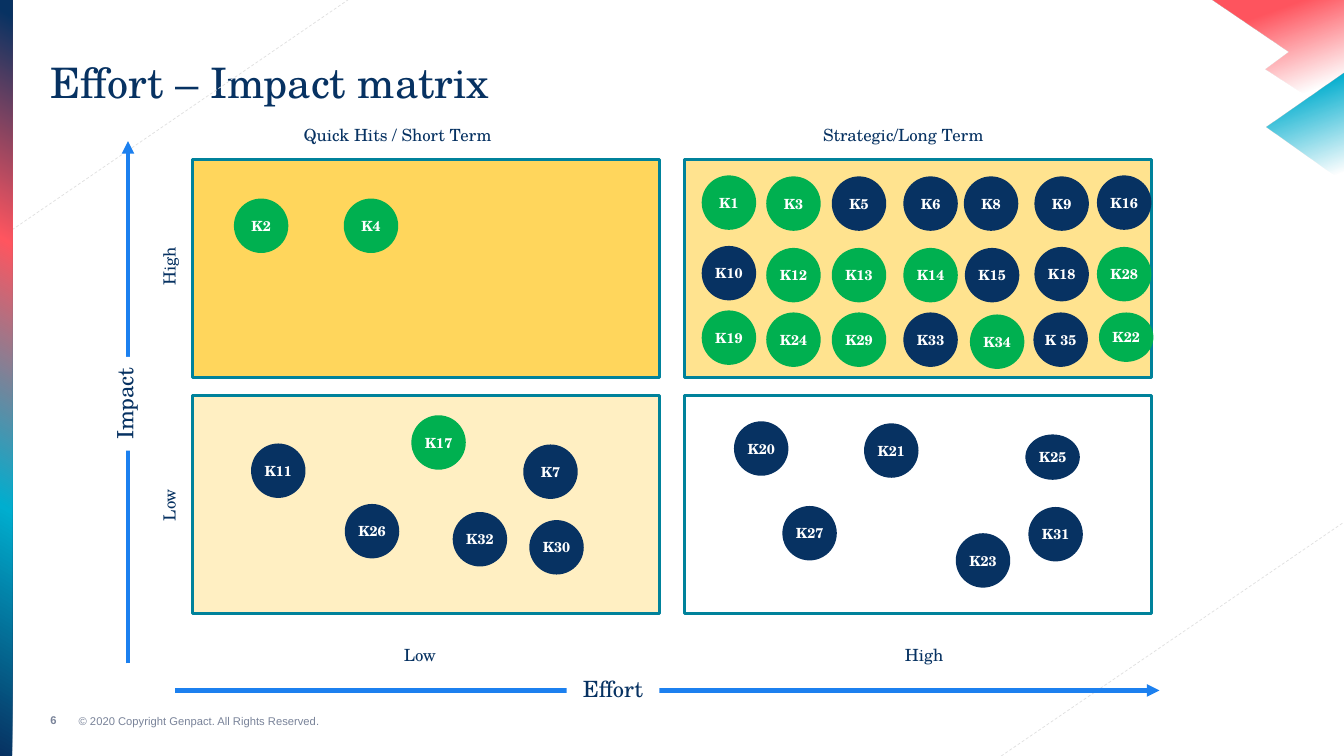
from dataclasses import dataclass
from lxml import etree
from pptx import Presentation
from pptx.dml.color import RGBColor
from pptx.enum.dml import MSO_LINE
from pptx.enum.shapes import MSO_CONNECTOR, MSO_SHAPE
from pptx.enum.text import MSO_ANCHOR, MSO_AUTO_SIZE, PP_ALIGN
from pptx.oxml.ns import qn
from pptx.util import Inches, Pt

RECT, OVAL = MSO_SHAPE.RECTANGLE, MSO_SHAPE.OVAL
STRAIGHT = MSO_CONNECTOR.STRAIGHT
DASH = MSO_LINE.DASH
LEFT, CENTER = PP_ALIGN.LEFT, PP_ALIGN.CENTER
MIDDLE = MSO_ANCHOR.MIDDLE
FIXED = MSO_AUTO_SIZE.NONE


@dataclass(frozen=True)
class Theme:
    serif: str = "TeX Gyre Schola"
    sans: str = "Arial"
    navy: str = "073262"
    green: str = "00B050"
    gold: str = "FFC000"
    teal: str = "00829B"
    cyan: str = "00AECF"
    coral: str = "FF555F"
    blue: str = "1C80EF"
    gray: str = "798399"
    pale: str = "E0E0E0"
    white: str = "FFFFFF"
    title: int = 30
    axis: int = 16
    label: int = 12
    dot: int = 10
    foot: int = 8


T = Theme()

GREEN = [
    ("K2", 2.32, 1.97), ("K4", 3.41, 1.97), ("K17", 4.08, 4.12),
    ("K1", 6.96, 1.74), ("K3", 7.6, 1.75), ("K12", 7.6, 2.46),
    ("K13", 8.25, 2.46), ("K14", 8.96, 2.46), ("K28", 10.88, 2.45),
    ("K19", 6.96, 3.08), ("K24", 7.6, 3.1), ("K29", 8.25, 3.1),
    ("K34", 9.62, 3.12), ("K22", 10.9, 3.1, 0.49),
]
NAVY = [
    ("K5", 8.25, 1.75), ("K6", 8.96, 1.75), ("K8", 9.56, 1.75),
    ("K9", 10.26, 1.75), ("K16", 10.88, 1.74), ("K10", 6.96, 2.44),
    ("K15", 9.57, 2.46), ("K18", 10.26, 2.45), ("K33", 8.96, 3.1),
    ("K 35", 10.25, 3.1), ("K11", 2.49, 4.4), ("K7", 5.19, 4.41),
    ("K26", 3.42, 5), ("K32", 4.49, 5.08), ("K30", 5.25, 5.16),
    ("K20", 7.28, 4.18), ("K21", 8.57, 4.2), ("K25", 10.17, 4.31, 0.45),
    ("K27", 7.76, 5.02), ("K23", 9.48, 5.29), ("K31", 10.2, 5.03),
]


def rgb(code):
    return RGBColor.from_string(code)


def write(shape, text, size, color=T.navy, font=T.serif, bold=False,
          align=CENTER, wrap=True):
    frame = shape.text_frame
    frame.auto_size = FIXED
    frame.word_wrap = wrap
    frame.vertical_anchor = MIDDLE
    frame.margin_left = frame.margin_right = 0
    frame.margin_top = frame.margin_bottom = 0
    para = frame.paragraphs[0]
    para.text = text
    para.alignment = align
    para.font.name = font
    para.font.size = Pt(size)
    para.font.bold = bold
    para.font.color.rgb = rgb(color)


def block(slide, kind, box, fill=None, alpha=100, edge=None):
    shape = slide.shapes.add_shape(kind, *map(Inches, box))
    shape.shadow.inherit = False
    if fill:
        shape.fill.solid()
        shape.fill.fore_color.rgb = rgb(fill)
        if alpha < 100:
            color = shape.fill._xPr.find(qn("a:solidFill"))[0]
            etree.SubElement(color, qn("a:alpha"), val=str(alpha * 1000))
    else:
        shape.fill.background()
    if edge:
        shape.line.color.rgb = rgb(edge)
        shape.line.width = Pt(2.25)
    else:
        shape.line.fill.background()
    return shape


def label(slide, text, box, size=T.label, turn=0, **look):
    shape = slide.shapes.add_textbox(*map(Inches, box))
    shape.rotation = turn
    write(shape, text, size, **look)


def blend(shape, stops, angle):
    shape.fill.gradient()
    shape.fill.gradient_angle = 360 - angle
    ramp = shape._element.spPr.find(qn("a:gradFill")).find(qn("a:gsLst"))
    for stop in list(ramp):
        ramp.remove(stop)
    for pos, code, alpha in stops:
        stop = etree.SubElement(ramp, qn("a:gs"), pos=str(pos * 1000))
        color = etree.SubElement(stop, qn("a:srgbClr"), val=code)
        etree.SubElement(color, qn("a:alpha"), val=str(alpha * 1000))


def shard(slide, points, color, end):
    start, *rest = [tuple(map(Inches, point)) for point in points]
    path = slide.shapes.build_freeform(*start)
    path.add_line_segments(rest, close=True)
    shape = path.convert_to_shape()
    shape.shadow.inherit = False
    shape.line.fill.background()
    blend(shape, [(20, color, 100), (end, color, 0)], 70)


def rule(slide, ends, color, width):
    line = slide.shapes.add_connector(STRAIGHT, *map(Inches, ends))
    line.line.color.rgb = rgb(color)
    line.line.width = Pt(width)
    etree.SubElement(line._element.spPr, qn("a:effectLst"))
    return line


def axis(slide, text, ends, box, turn=0):
    line = rule(slide, ends, T.blue, 3)
    etree.SubElement(line.line._get_or_add_ln(), qn("a:tailEnd"),
                     type="triangle")
    tag = block(slide, RECT, box, T.white)
    tag.rotation = turn
    write(tag, text, T.axis)


def decor(slide):
    for ends in ((0.12, 2.28, 3.45, 0), (9.93, 7.5, 13.33, 5.18)):
        rule(slide, ends, T.pale, 0.5).line.dash_style = DASH
    shard(slide, [(12.02, 0), (12.78, 0.52), (12.55, 0.69), (13.33, 1.2),
                  (13.33, 0)], T.coral, 75)
    shard(slide, [(13.33, 0.72), (12.56, 1.26), (13.33, 1.81)], T.cyan, 92)
    bar = block(slide, RECT, (0, 0, 0.12, 7.5))
    blend(bar, [(0, T.navy, 100), (33, T.cyan, 100), (68, T.coral, 100),
                (98, T.navy, 100)], 300)


def heading(slide, text):
    title = slide.shapes.title
    title.left, title.top = Inches(0.5), Inches(0.52)
    title.width, title.height = Inches(12.33), Inches(0.58)
    write(title, text, T.title, align=LEFT)


def matrix(slide):
    for row, alphas in enumerate(((64, 44), (24, 0))):
        for col, alpha in enumerate(alphas):
            box = (1.91 + col * 4.88, 1.58 + row * 2.34, 4.63, 2.17)
            block(slide, RECT, box, T.gold if alpha else None, alpha, T.teal)
    label(slide, "Quick Hits / Short Term", (2.75, 1.19, 2.39, 0.3))
    label(slide, "Strategic/Long Term", (7.69, 1.19, 2.54, 0.3))
    for step, (side, level) in enumerate((("Low", "High"), ("High", "Low"))):
        label(slide, side, (3.79 + step * 5, 6.4, 0.75, 0.2))
        label(slide, level, (0.59, 2.54 + step * 2.37, 2.17, 0.2), turn=270)


def dots(slide, items, color):
    for text, left, top, *tall in items:
        high = tall[0] if tall else 0.54
        dot = block(slide, OVAL, (left, top, 0.54, high), color)
        write(dot, text, T.dot, T.white, bold=True, wrap=False)


def main():
    deck = Presentation()
    deck.slide_width, deck.slide_height = Inches(13.33), Inches(7.5)
    slide = deck.slides.add_slide(deck.slide_layouts[5])
    decor(slide)
    heading(slide, "Effort – Impact matrix")
    axis(slide, "Effort", (1.74, 6.85, 11.5, 6.85), (5.62, 6.7, 0.92, 0.27))
    axis(slide, "Impact", (1.27, 6.58, 1.27, 1.4), (0.77, 3.87, 0.93, 0.27),
         270)
    matrix(slide)
    dots(slide, GREEN, T.green)
    dots(slide, NAVY, T.navy)
    foot = dict(size=T.foot, color=T.gray, font=T.sans, align=LEFT)
    label(slide, "6", (0.5, 7.04, 0.2, 0.21), bold=True, **foot)
    label(slide, "© 2020 Copyright Genpact. All Rights Reserved.",
          (0.78, 7.03, 2.52, 0.24), **foot)
    deck.save("out.pptx")


if __name__ == "__main__":
    main()
